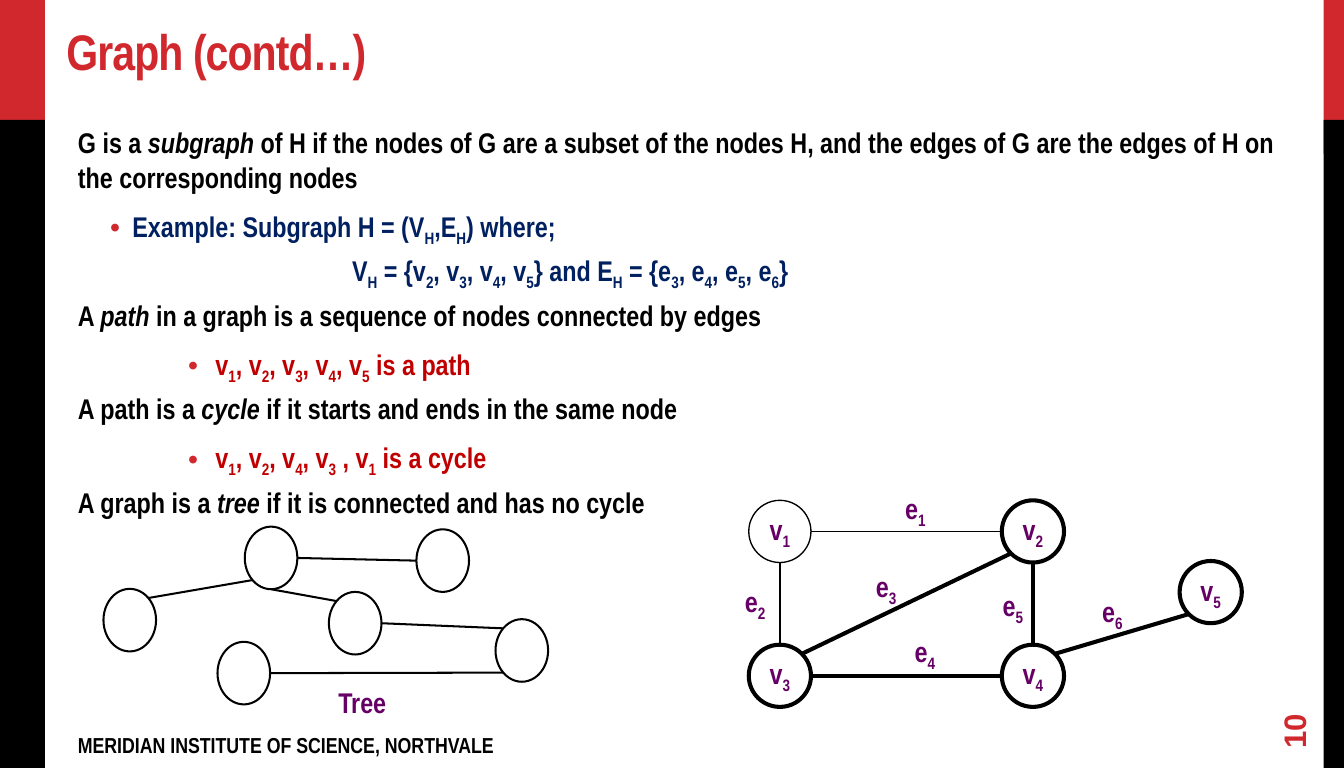
import math
from dataclasses import dataclass

import pptx
import pptx.dml.color
import pptx.enum.shapes
import pptx.enum.text
import pptx.oxml.ns
import pptx.util
from lxml import etree

Cm, Pt = pptx.util.Cm, pptx.util.Pt
ANCHOR = pptx.enum.text.MSO_ANCHOR
ALIGN = pptx.enum.text.PP_ALIGN
SHAPE = pptx.enum.shapes.MSO_SHAPE

# Content: *word* is italic, _x sets the next character as a subscript
TITLE = "Graph (contd…)"
FOOTER = "MERIDIAN INSTITUTE OF SCIENCE, NORTHVALE"
PAGE = "10"
STATEMENTS = [  # (kind, text)
    ("definition", "G is a *subgraph* of H if the nodes of G are a subset of the nodes H, "
                   "and the edges of G are the edges of H on the corresponding nodes"),
    ("example", "Example: Subgraph H = (V_H,E_H) where;"),
    ("formula", "V_H = {v_2, v_3, v_4, v_5} and E_H = {e_3, e_4, e_5, e_6}"),
    ("definition", "A *path* in a graph is a sequence of nodes connected by edges"),
    ("walk", "v_1, v_2, v_3, v_4, v_5 is a path"),
    ("definition", "A path is a* cycle* if it starts and ends in the same node"),
    ("walk", "v_1, v_2, v_4, v_3 , v_1 is a cycle"),
    ("definition", "A graph is a *tree* if it is connected and has no cycle"),
]

# Networks in cm: node centres, edges as (node, side, node, side), label corners
GRAPH = {
    "node_size": (1.62, 1.62), "show_names": True, "weight": 3,
    "nodes": {"v_1": (20.31, 13.84), "v_2": (26.9, 13.84), "v_3": (20.31, 17.6),
              "v_4": (26.9, 17.6), "v_5": (31.53, 15.42)},
    "edges": [("v_1", "S", "v_3", "N"), ("v_1", "E", "v_2", "W"),
              ("v_3", "E", "v_4", "W"), ("v_4", "N", "v_2", "S"),
              ("v_4", "NE", "v_5", "SW"), ("v_3", "NE", "v_2", "SW")],
    "light_node": "v_1",  # outside the subgraph, as are its edges
    "labels": {"e_1": (23.32, 12.65), "e_2": (19.15, 15.09), "e_3": (22.56, 14.68),
               "e_4": (23.57, 16.38), "e_5": (25.86, 15.19), "e_6": (28.45, 15.34)},
    "label_width": 1.09,
}
TREE = {
    "node_size": (1.37, 1.63), "show_names": False, "weight": 1.5,
    "nodes": {"root": (7.06, 14.53), "right": (11.53, 14.6), "middle": (9.25, 16.23),
              "far": (13.59, 16.94), "low": (6.35, 17.53), "left": (3.38, 16.15)},
    "edges": [("left", "NE", "root", "SW"), ("root", "E", "right", "W"),
              ("root", "S", "middle", "NW"), ("middle", "E", "far", "NW"),
              ("far", "SW", "low", "E")],
    "light_node": None,
    "labels": {"Tree": (8.56, 17.7)},
    "label_width": 3.4,
}


def rgb(code):
    return pptx.dml.color.RGBColor.from_string(code)


@dataclass(frozen=True)
class Theme:
    red = rgb("D1282E")
    black = rgb("000000")
    navy = rgb("002060")
    crimson = rgb("C00000")
    purple = rgb("660066")
    narrow = "Arial Narrow"
    title = 36.9
    body = 21
    footer = 16
    page = 23


THEME = Theme()
# kind: (level, left margin cm, first-line indent cm, bullet, colour, space after pt)
STYLES = {
    "definition": (0, 0, 0, False, THEME.black, 6.8),
    "example": (1, 1.42, -0.58, True, THEME.navy, 0),
    "formula": (1, 7.14, 0, False, THEME.navy, 0),
    "walk": (2, 3.58, -0.71, True, THEME.crimson, 0),
}
COMPASS = {"N": 270, "NE": 315, "E": 0, "S": 90, "SW": 135, "W": 180, "NW": 225}


def write(paragraph, markup, size, color, font=THEME.narrow):
    def add(text, italic=False, subscript=False):
        if not text:
            return
        run = paragraph.add_run()
        run.text = text
        run.font.size, run.font.name, run.font.bold = Pt(size), font, True
        run.font.italic = italic
        run.font.color.rgb = color
        if subscript:
            run._r.get_or_add_rPr().set("baseline", "-25000")

    for i, phrase in enumerate(markup.split("*")):
        plain, *rest = phrase.split("_")
        add(plain, i % 2 == 1)
        for piece in rest:
            add(piece[0], subscript=True)
            add(piece[1:])


def add_text(shapes, box, insets=(0.28, 0.15, 0.28, 0.15)):
    textbox = shapes.add_textbox(*map(Cm, box))
    frame = textbox.text_frame
    frame.word_wrap = True
    frame.margin_left, frame.margin_top, frame.margin_right, frame.margin_bottom = map(Cm, insets)
    return textbox


def add_bullet(paragraph):
    properties = paragraph._p.get_or_add_pPr()
    qn = pptx.oxml.ns.qn
    color = etree.SubElement(properties, qn("a:buClr"))
    etree.SubElement(color, qn("a:srgbClr"), val=str(THEME.red))
    etree.SubElement(properties, qn("a:buFont"), typeface="Arial")
    etree.SubElement(properties, qn("a:buChar"), char="•")


def draw_network(slide, network):
    shapes = slide.shapes.add_group_shape().shapes
    width, height = network["node_size"]
    light = network["light_node"]

    def rim(node, side):
        x, y = network["nodes"][node]
        angle = math.radians(COMPASS[side])
        return Cm(x + width / 2 * math.cos(angle)), Cm(y + height / 2 * math.sin(angle))

    for name, (x, y) in network["nodes"].items():
        node = shapes.add_shape(SHAPE.OVAL, Cm(x - width / 2), Cm(y - height / 2),
                                Cm(width), Cm(height))
        node.shadow.inherit = False
        node.fill.background()
        node.line.color.rgb = THEME.black
        node.line.width = Pt(1 if name == light else network["weight"])
        if network["show_names"]:
            frame = node.text_frame
            frame.margin_left = frame.margin_right = frame.margin_top = frame.margin_bottom = 0
            frame.word_wrap = False
            frame.vertical_anchor = ANCHOR.MIDDLE
            frame.paragraphs[0].alignment = ALIGN.CENTER
            write(frame.paragraphs[0], name, THEME.body, THEME.purple)

    for start, start_side, end, end_side in network["edges"]:
        edge = shapes.add_connector(pptx.enum.shapes.MSO_CONNECTOR.STRAIGHT,
                                    *rim(start, start_side), *rim(end, end_side))
        edge.line.color.rgb = THEME.black
        edge.line.width = Pt(1 if light in (start, end) else network["weight"])
        etree.SubElement(edge._element.spPr, pptx.oxml.ns.qn("a:effectLst"))

    for label, corner in network["labels"].items():
        caption = add_text(shapes, (*corner, network["label_width"], 1.14), (0.25, 0.13, 0, 0.13))
        write(caption.text_frame.paragraphs[0], label, THEME.body, THEME.purple)


def main():
    deck = pptx.Presentation()
    deck.slide_width, deck.slide_height = Cm(35), Cm(20)
    slide = deck.slides.add_slide(deck.slide_layouts[5])

    # Side bars
    for left, width in ((34.47, 0.53), (0, 1.17)):
        for top, height, color in ((0, 4, THEME.red), (3.12, 16.88, THEME.black)):
            bar = slide.shapes.add_shape(SHAPE.RECTANGLE, Cm(left), Cm(top), Cm(width), Cm(height))
            bar.shadow.inherit = False
            bar.fill.solid()
            bar.fill.fore_color.rgb = color
            bar.line.fill.background()

    # Title
    title = slide.shapes.title
    title.left, title.top, title.width, title.height = map(Cm, (1.45, 0.46, 32.66, 1.78))
    heading = title.text_frame
    heading.margin_left = heading.margin_right = Cm(0.28)
    heading.margin_top = heading.margin_bottom = Cm(0.15)
    heading.vertical_anchor = ANCHOR.BOTTOM
    heading.paragraphs[0].alignment = ALIGN.LEFT
    write(heading.paragraphs[0], TITLE, THEME.title, THEME.red)
    heading.paragraphs[0].runs[0]._r.get_or_add_rPr().set("spc", "-70")

    # Statements
    body = add_text(slide.shapes, (1.75, 3.12, 32.08, 14.76)).text_frame
    for i, (kind, markup) in enumerate(STATEMENTS):
        level, margin, indent, bullet, color, after = STYLES[kind]
        statement = body.add_paragraph() if i else body.paragraphs[0]
        statement.level = level
        statement.space_before, statement.space_after = Pt(4.2), Pt(after)
        properties = statement._p.get_or_add_pPr()
        properties.set("marL", str(Cm(margin)))
        properties.set("indent", str(Cm(indent)))
        if bullet:
            add_bullet(statement)
        write(statement, markup, THEME.body, color)

    # Graph and tree
    for network in (GRAPH, TREE):
        draw_network(slide, network)

    # Footer and page number
    footer = add_text(slide.shapes, (1.75, 18.9, 21.29, 0.86))
    write(footer.text_frame.paragraphs[0], FOOTER, THEME.footer, THEME.black)
    page = add_text(slide.shapes, (32.66, 18.31, 2.06, 0.86))
    page.rotation = 270
    page.text_frame.vertical_anchor = ANCHOR.MIDDLE
    write(page.text_frame.paragraphs[0], PAGE, THEME.page, THEME.red, "Arial")

    deck.save("out.pptx")


if __name__ == "__main__":
    main()
